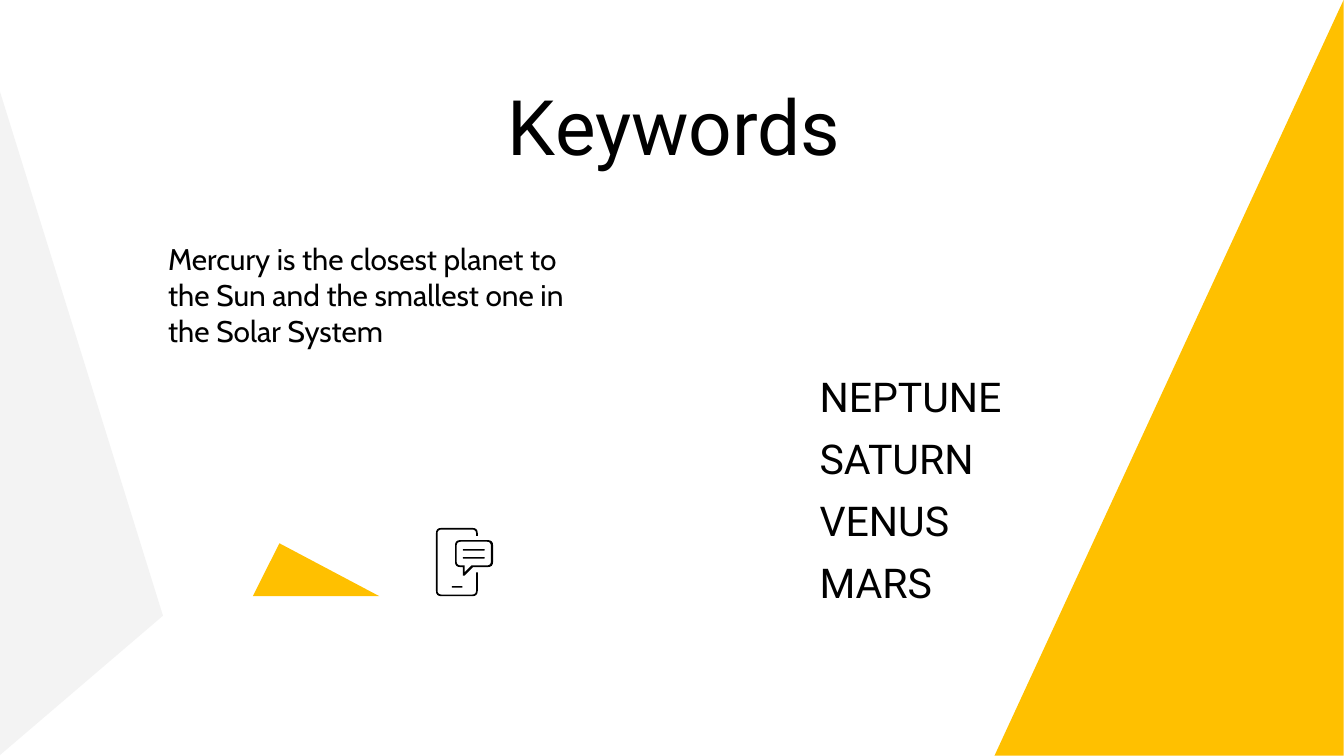
from pptx import Presentation, util as u
from pptx.dml import color
from pptx.enum import shapes, text

HUES = {"gold": "FFC000", "pale": "F3F3F3", "ink": "000000"}

deck = Presentation()
deck.slide_width, deck.slide_height = u.Cm(25.4), u.Cm(14.29)
slide = deck.slides.add_slide(deck.slide_layouts[6])


def write(words, left, top, width, height, size, font="Roboto",
          align="LEFT", anchor="TOP", lead=1.0, after=0):
    box = slide.shapes.add_textbox(*map(u.Cm, (left, top, width, height)))
    frame = box.text_frame
    frame.word_wrap = True
    frame.vertical_anchor = text.MSO_ANCHOR[anchor]
    frame.margin_left = frame.margin_right = u.Cm(0.25)
    frame.margin_top = frame.margin_bottom = u.Cm(0.25)
    para = frame.paragraphs[0]
    para.alignment = text.PP_ALIGN[align]
    para.line_spacing, para.space_after = lead, u.Pt(after)
    run = para.add_run()
    run.text = words
    run.font.size, run.font.name = u.Pt(size), font
    run.font.color.rgb = color.RGBColor.from_string(HUES["ink"])


def trace(group, *rings):
    """Fill closed rings of (x, y, corner radius) as one black shape."""
    pen = None
    for ring in rings:
        dots = []
        for i, (x, y, rad) in enumerate(ring):
            if not rad:
                dots.append((x, y))
                continue
            ends = []
            for px, py, _ in (ring[i - 1], ring[(i + 1) % len(ring)]):
                far = ((px - x) ** 2 + (py - y) ** 2) ** 0.5
                ends.append((x + (px - x) * rad / far, y + (py - y) * rad / far))
            (ax, ay), (bx, by) = ends
            for t in (0, 0.25, 0.5, 0.75, 1):
                a, m, b = (1 - t) ** 2, 2 * t * (1 - t), t ** 2
                dots.append((a * ax + m * x + b * bx, a * ay + m * y + b * by))
        dots = [(u.Cm(x), u.Cm(y)) for x, y in dots]
        if pen is None:
            pen = group.shapes.build_freeform(*dots[0])
        else:
            pen.move_to(*dots[0])
        pen.add_line_segments(dots[1:], close=True)
    part = pen.convert_to_shape()
    part.shadow.inherit = False
    part.fill.solid()
    part.fill.fore_color.rgb = color.RGBColor.from_string(HUES["ink"])
    part.line.fill.background()


# Triangles: preset, place, turn, apex, hue
for kind, place, turn, apex, hue in (
    ("RIGHT_TRIANGLE", (14.95, 3.84, 14.29, 6.6), 270, None, "gold"),
    ("ISOSCELES_TRIANGLE", (-4.78, 6.43, 12.62, 3.1), 90, 0.79, "pale"),
    ("ISOSCELES_TRIANGLE", (4.78, 10.27, 2.39, 1), 0, 0.21, "gold"),
):
    wedge = slide.shapes.add_shape(shapes.MSO_SHAPE[kind], *map(u.Cm, place))
    wedge.rotation = turn
    if apex is not None:
        wedge.adjustments[0] = apex
    wedge.shadow.inherit = False
    wedge.fill.solid()
    wedge.fill.fore_color.rgb = color.RGBColor.from_string(HUES[hue])
    wedge.line.fill.background()

write("Mercury is the closest planet to the Sun and the smallest one in "
      "the Solar System", 2.93, 4.3, 8.25, 2.7, 16, font="Cabin", after=16)
write("Keywords", 2.28, 1.37, 20.93, 1.6, 41, align="CENTER", lead=0.95)

# Phone with a speech bubble
icon = slide.shapes.add_group_shape()
trace(icon,
      [(8.63, 10.24, 0.08), (9.28, 10.24, 0.08), (9.28, 10.69, 0.08),
       (8.91, 10.69, 0), (8.78, 10.82, 0), (8.78, 10.69, 0),
       (8.63, 10.69, 0.08)],
      [(8.6, 10.21, 0.1), (9.32, 10.21, 0.1), (9.32, 10.72, 0.1),
       (8.94, 10.72, 0), (8.78, 10.88, 0), (8.75, 10.88, 0),
       (8.75, 10.72, 0), (8.6, 10.72, 0.1)])
trace(icon,
      [(9.03, 10.13, 0), (9.03, 9.98, 0.1), (8.24, 9.98, 0.1),
       (8.24, 11.27, 0.1), (9.03, 11.27, 0.1), (9.03, 10.82, 0),
       (9, 10.82, 0), (9, 11.24, 0.08), (8.27, 11.24, 0.08),
       (8.27, 10.01, 0.08), (9, 10.01, 0.08), (9, 10.13, 0)])
for left, right, top in ((8.75, 9.16, 10.38), (8.75, 9.16, 10.53),
                         (8.54, 8.74, 11.08)):
    low = top + 0.03
    trace(icon, [(left, top, 0.01), (right, top, 0.01),
                 (right, low, 0.01), (left, low, 0.01)])

for row, planet in enumerate(("NEPTUNE", "SATURN", "VENUS", "MARS")):
    write(planet, 15.24, 7.06 + 1.17 * row, 5, 0.87, 22, anchor="MIDDLE")

deck.save("out.pptx")
